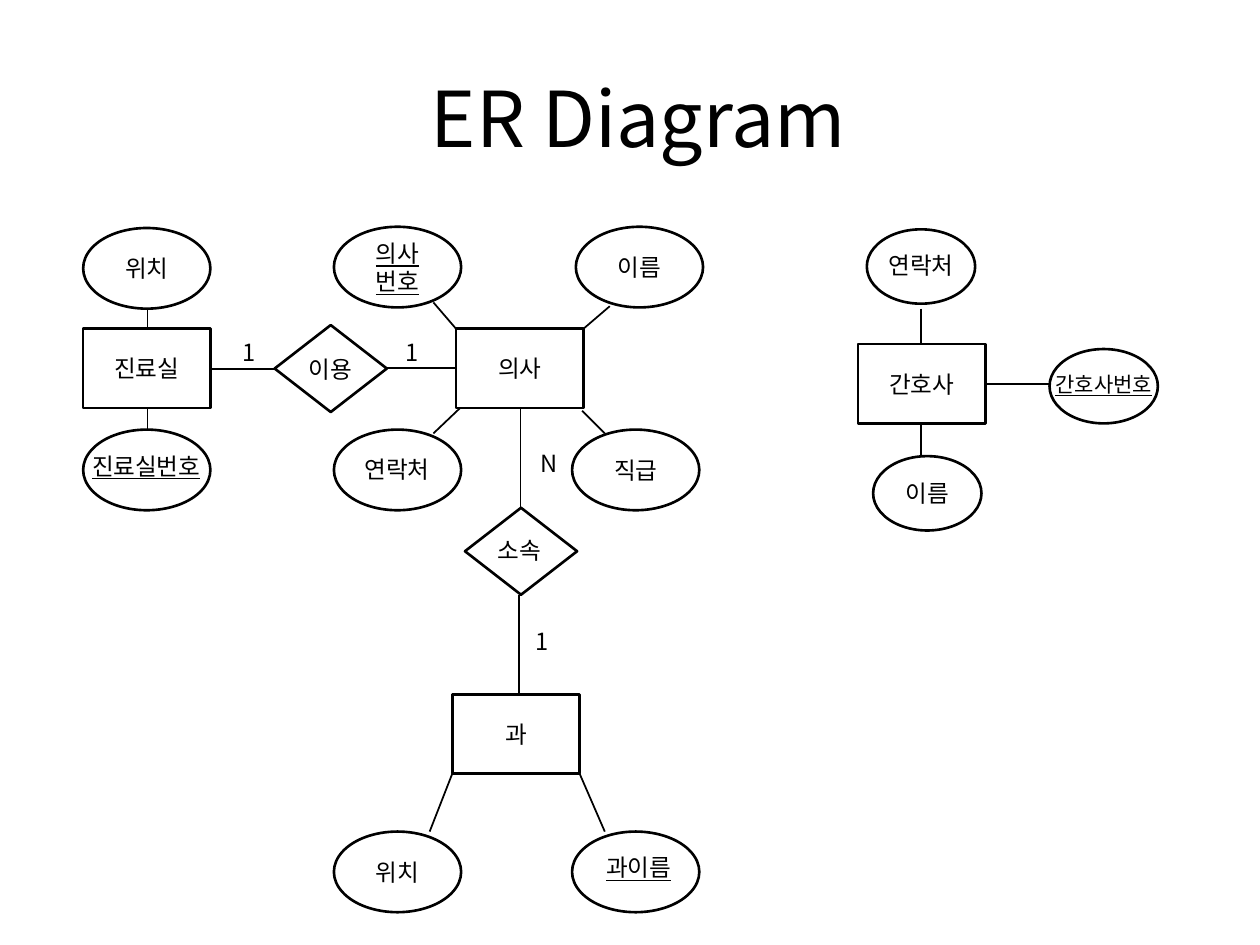
from lxml import etree
from pptx import Presentation
from pptx.dml.color import RGBColor
from pptx.enum import shapes, text
from pptx.oxml import ns
from pptx.util import Inches, Pt

FONT = "Noto Sans CJK KR"
BLACK, WHITE = "000000", "FFFFFF"


def color(value):
    return RGBColor.from_string(value)


def write(shape, content, size=13.5, underline=None, centered=True):
    """Fill a shape with text, one paragraph per line."""
    frame = shape.text_frame
    frame.word_wrap = True
    frame.text = content
    if centered:
        frame.vertical_anchor = text.MSO_ANCHOR.MIDDLE
    for paragraph in frame.paragraphs:
        paragraph.alignment = text.PP_ALIGN.CENTER if centered else text.PP_ALIGN.LEFT
        for run in paragraph.runs:
            run.font.name = FONT
            run.font.size = Pt(size)
            run.font.underline = underline
            run.font.color.rgb = color(BLACK)
            east_asian = etree.SubElement(run.font._element, ns.qn("a:ea"))
            east_asian.set("typeface", FONT)


presentation = Presentation()
presentation.slide_width, presentation.slide_height = Inches(10), Inches(7.5)
slide = presentation.slides.add_slide(presentation.slide_layouts[5])

title = slide.shapes.title
title.left, title.top = Inches(0.5), Inches(0.3)
title.width, title.height = Inches(9), Inches(1.25)
write(title, " ER Diagram", size=44)

# Each kind: preset shape, width, height, fill
entity = (shapes.MSO_SHAPE.RECTANGLE, 1.01, 0.63, WHITE)
attribute = (shapes.MSO_SHAPE.OVAL, 1.01, 0.64, WHITE)
small_attribute = (shapes.MSO_SHAPE.OVAL, 0.86, 0.59, WHITE)
relationship = (shapes.MSO_SHAPE.DIAMOND, 0.89, 0.69, None)

# Nodes without text here get a wider label below
nodes = [
    (entity, 3.62, 2.61, "의사", None),
    (entity, 3.59, 5.51, "과", None),
    (entity, 0.66, 2.61, "진료실", None),
    (entity, 6.81, 2.73, "간호사", None),
    (attribute, 0.66, 1.81, "위치", None),
    (attribute, 0.66, 3.41, "", None),
    (attribute, 2.65, 1.8, "의사\n번호", True),
    (attribute, 4.57, 1.8, "이름", None),
    (attribute, 2.65, 3.41, "", None),
    (attribute, 4.54, 3.41, "직급", None),
    (attribute, 2.65, 6.6, "위치", None),
    (attribute, 4.54, 6.6, "", None),
    (small_attribute, 6.88, 1.82, "", None),
    (small_attribute, 8.33, 2.77, "", None),
    (small_attribute, 6.93, 3.62, "이름", None),
    (relationship, 2.18, 2.58, "", None),
    (relationship, 3.69, 4.03, "", None),
]
for (preset, width, height, fill), left, top, content, underline in nodes:
    node = slide.shapes.add_shape(
        preset, Inches(left), Inches(top), Inches(width), Inches(height))
    node.shadow.inherit = False
    if fill:
        node.fill.solid()
        node.fill.fore_color.rgb = color(fill)
    else:
        node.fill.background()
    node.line.color.rgb = color(BLACK)
    node.line.width = Pt(1.5)
    if content:
        write(node, content, underline=underline)

links = [
    # 진료실
    (1.17, 2.45, 1.17, 2.61), (1.17, 3.24, 1.17, 3.41), (1.67, 2.93, 2.18, 2.93),
    # 의사
    (3.44, 2.4, 3.62, 2.61), (3.65, 3.24, 3.44, 3.44), (4.63, 2.61, 4.84, 2.43),
    (4.62, 3.26, 4.8, 3.44), (3.07, 2.92, 3.62, 2.92), (4.13, 3.24, 4.13, 4.03),
    # 과
    (4.12, 4.72, 4.12, 5.51), (3.59, 6.14, 3.41, 6.6), (4.6, 6.14, 4.8, 6.6),
    # 간호사
    (7.31, 2.45, 7.31, 2.73), (8.33, 3.05, 7.82, 3.05), (7.31, 3.36, 7.31, 3.63),
]
for link in links:
    connector = slide.shapes.add_connector(
        shapes.MSO_CONNECTOR.STRAIGHT, *[Inches(value) for value in link])
    connector.line.color.rgb = color(BLACK)
    connector.line.width = Pt(1)
    etree.SubElement(connector._element.spPr, ns.qn("a:effectLst"))

cardinalities = [(3.12, 2.63, "1"), (1.83, 2.63, "1"), (4.15, 4.93, "1"), (4.19, 3.51, "N")]
for left, top, content in cardinalities:
    box = slide.shapes.add_textbox(Inches(left), Inches(top), Inches(0.32), Inches(0.33))
    write(box, content, centered=False)

node_labels = [
    (2.56, 3.55, "연락처", 13.5, None),
    (0.57, 3.52, "진료실번호", 13.5, True),
    (8.17, 2.87, "간호사번호", 12, True),
    (4.48, 6.71, "과이름", 13.5, True),
    (2.03, 2.75, "이용", 13.5, None),
    (6.72, 1.93, "연락처", 13.5, None),
    (3.53, 4.19, "소속", 13.5, None),
]
for left, top, content, size, underline in node_labels:
    label = slide.shapes.add_textbox(Inches(left), Inches(top), Inches(1.18), Inches(0.35))
    write(label, content, size=size, underline=underline)

presentation.save("out.pptx")
